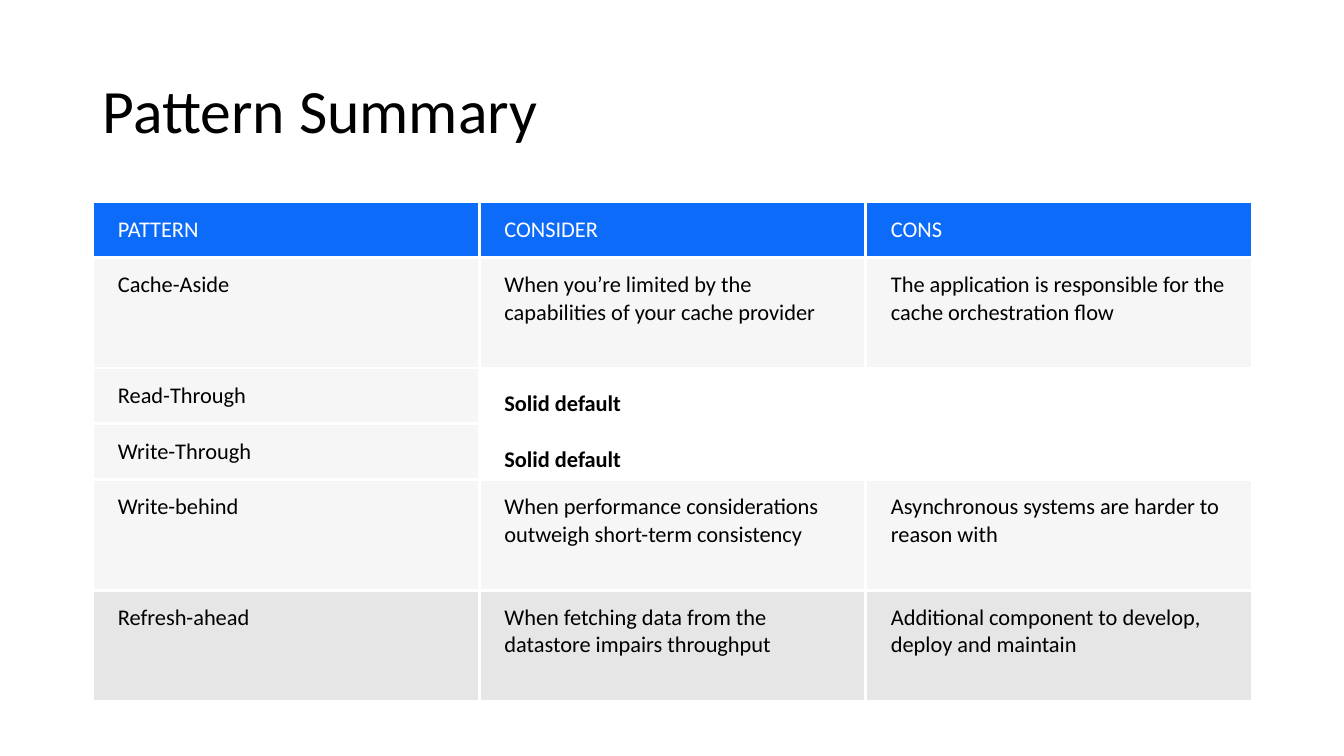
from lxml import etree
from pptx import Presentation
from pptx.dml.color import RGBColor
from pptx.enum import text
from pptx.oxml import ns
from pptx.util import Inches, Pt

FONT = "Calibri"
BLACK = RGBColor(0x00, 0x00, 0x00)
WHITE = RGBColor(0xFF, 0xFF, 0xFF)
BLUE = RGBColor(0x0D, 0x6B, 0xFA)
PALE = RGBColor(0xF6, 0xF6, 0xF6)
GREY = RGBColor(0xE6, 0xE6, 0xE6)

LEFT, WIDTH = 0.92, 11.5
LOW, HIGH = 0.55, 1.1

# Height, fill and wording of each row; two texts mean a merged right side
ROWS = [
    (LOW, BLUE, ["PATTERN", "CONSIDER", "CONS"]),
    (HIGH, PALE, ["Cache-Aside",
                  "When you’re limited by the capabilities of your cache provider",
                  "The application is responsible for the cache orchestration flow"]),
    (LOW, PALE, ["Read-Through", "Solid default"]),
    (LOW, PALE, ["Write-Through", "Solid default"]),
    (HIGH, PALE, ["Write-behind",
                  "When performance considerations outweigh short-term consistency",
                  "Asynchronous systems are harder to reason with"]),
    (HIGH, GREY, ["Refresh-ahead",
                  "When fetching data from the datastore impairs throughput",
                  "Additional component to develop, deploy and maintain"]),
]


def add_run(para, words, size, color, bold=False):
    run = para.add_run()
    run.text = words
    font = run.font
    font.name, font.size, font.bold = FONT, Pt(size), bold
    font.color.rgb = color


def add_title(slide, words):
    title = slide.shapes.title
    title.left, title.top = Inches(LEFT), Inches(0.4)
    title.width, title.height = Inches(WIDTH), Inches(1.45)
    frame = title.text_frame
    frame.auto_size = text.MSO_AUTO_SIZE.NONE
    frame.vertical_anchor = text.MSO_ANCHOR.MIDDLE
    para = frame.paragraphs[0]
    para.alignment = text.PP_ALIGN.LEFT
    para.line_spacing = 0.9
    add_run(para, words, 44, BLACK)


def set_borders(cell):
    props = cell._tc.get_or_add_tcPr()
    for side in ("lnL", "lnR", "lnT", "lnB"):
        line = etree.SubElement(props, ns.qn(f"a:{side}"), w=str(Pt(2.25)))
        fill = etree.SubElement(line, ns.qn("a:solidFill"))
        etree.SubElement(fill, ns.qn("a:srgbClr"), val=str(WHITE))


def style_cell(cell, fill, pad):
    set_borders(cell)
    cell.fill.solid()
    cell.fill.fore_color.rgb = fill
    cell.margin_left = cell.margin_right = Inches(0.25)
    cell.margin_top = cell.margin_bottom = Inches(pad)


def fill_row(table, index, fill, words):
    merged = len(words) == 2
    if merged:
        table.cell(index, 1).merge(table.cell(index, 2))
    for col in range(3):
        cell = table.cell(index, col)
        note = merged and col > 0
        style_cell(cell, WHITE if note else fill, 0.06 if note else 0.14)
        low = index == 0 or note
        cell.vertical_anchor = text.MSO_ANCHOR.BOTTOM if low else text.MSO_ANCHOR.TOP
        if col < len(words):
            color = WHITE if index == 0 else BLACK
            add_run(cell.text_frame.paragraphs[0], words[col], 16, color, note)


def add_grid(slide):
    total = sum(height for height, _, _ in ROWS)
    table = slide.shapes.add_table(
        len(ROWS), 3, Inches(LEFT), Inches(2), Inches(WIDTH), Inches(total)).table
    table.horz_banding = False
    for col in table.columns:
        col.width = Inches(WIDTH / 3)
    for index, (height, fill, words) in enumerate(ROWS):
        table.rows[index].height = Inches(height)
        fill_row(table, index, fill, words)


def main():
    deck = Presentation()
    deck.slide_width, deck.slide_height = Inches(13.33), Inches(7.5)
    slide = deck.slides.add_slide(deck.slide_layouts[5])
    add_title(slide, "Pattern Summary")
    add_grid(slide)
    deck.save("out.pptx")


if __name__ == "__main__":
    main()
